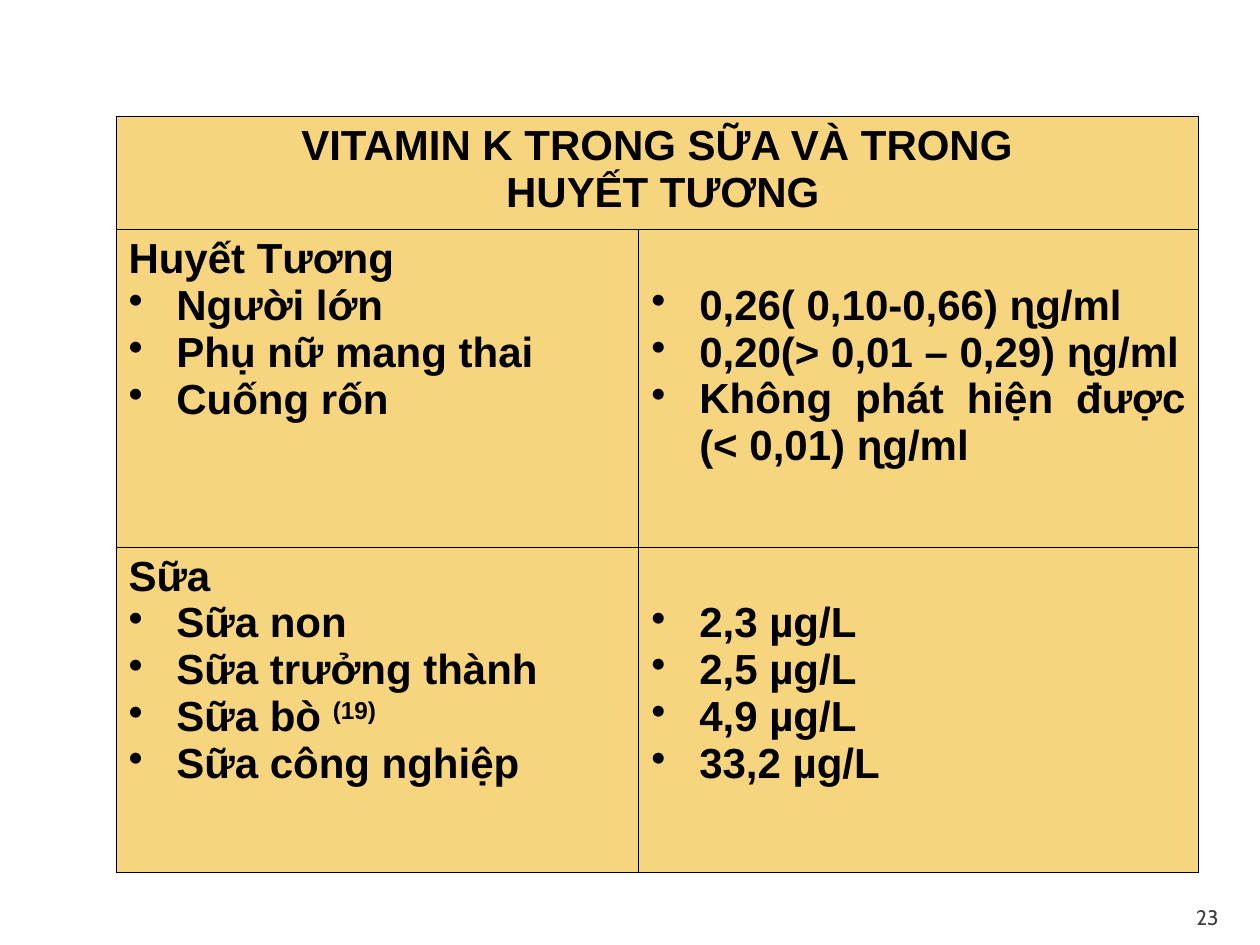
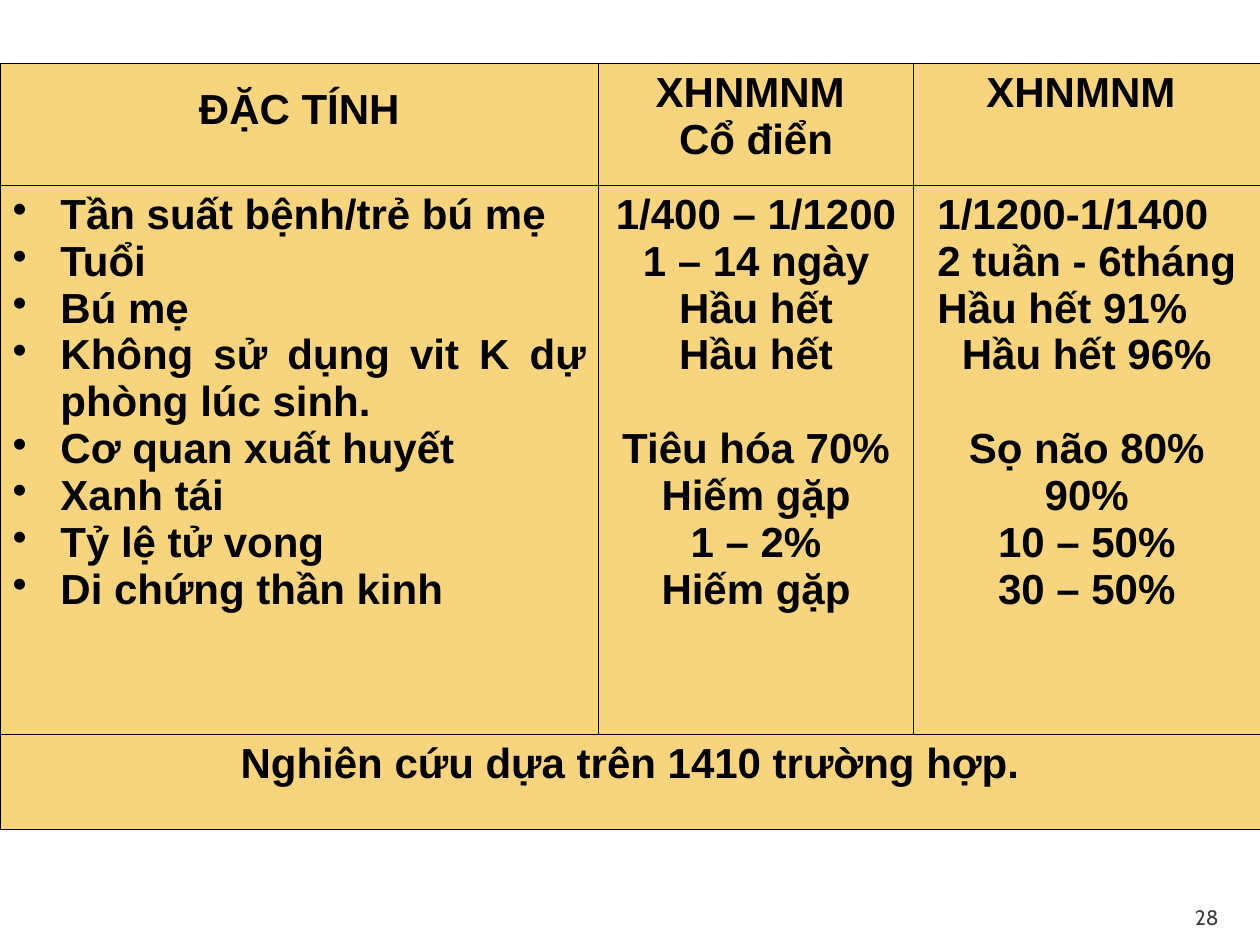
from lxml.etree import SubElement
from pptx import Presentation
from pptx.dml.color import RGBColor
from pptx.enum.text import MSO_ANCHOR as Anchor, PP_ALIGN as Align
from pptx.oxml import parse_xml
from pptx.oxml.ns import nsdecls, qn
from pptx.util import Inches, Pt

LINE = 26.8  # height in points of one line of table text
GAP = 3.7    # the same height in grid rows


def rgb(value):
    return RGBColor.from_string(value)


def para(text, **fmt):
    """Pair a text with its format: align, bullet, left, before, sup."""
    return text, fmt


def paras(*texts, **fmt):
    return [para(t, **fmt) for t in texts]


def bullets(*texts, align=Align.JUSTIFY):
    return paras(*texts, align=align, bullet=True)


def centred(*texts):
    return paras(*texts, align=Align.CENTER)


class Deck:
    """Holds the style and the current slide; lengths are in a 100 x 75 grid."""

    INK, NUMBER_INK, GOLD = "000000", "3F3F3F", "F0AD00"
    FONT, NUMBER_FONT = "Arial", "Cabin"
    HANG = 3.8

    def __init__(self):
        self.prs = Presentation()
        self.prs.slide_width, self.prs.slide_height = Inches(10), Inches(7.5)

    def grid(self, n):
        return round(self.prs.slide_width * n / 100)

    def new_slide(self, number):
        self.s = self.prs.slides.add_slide(self.prs.slide_layouts[6])
        self.page_number(number)

    def run(self, p, text, size=24, font=FONT, color=INK, bold=True, sup=False):
        r = p.add_run()
        r.text = text
        r.font.size, r.font.name, r.font.bold = Pt(size), font, bold
        r.font.color.rgb = rgb(color)
        if sup:
            r._r.get_or_add_rPr().set("baseline", "30000")

    def page_number(self, number):
        box = self.s.shapes.add_textbox(*map(self.grid, (89.7, 70.8, 8, 3)))
        tf = box.text_frame
        tf.word_wrap, tf.vertical_anchor, tf.margin_bottom = True, Anchor.BOTTOM, 0
        p = tf.paragraphs[0]
        p.alignment = Align.RIGHT
        self.run(p, str(number), 12, self.NUMBER_FONT, self.NUMBER_INK, False)

    def paragraph(self, p, text, align=Align.LEFT, bullet=False, left=0, before=0, sup=""):
        p.alignment = align
        pPr = p._p.get_or_add_pPr()
        if before:
            p.space_before = Pt(before)
        if bullet:
            left = self.HANG
            pPr.set("indent", str(-self.grid(left)))
            color = SubElement(pPr, qn("a:buClr"))
            SubElement(color, qn("a:srgbClr"), val=self.INK)
            SubElement(pPr, qn("a:buChar"), char="•")
        pPr.set("marL", str(self.grid(left)))
        self.run(p, text)
        if sup:
            self.run(p, sup, sup=True)

    def paint(self, cell):
        """Give a cell its half-transparent fill and thin borders."""
        cell.fill.solid()
        cell.fill.fore_color.rgb = rgb(self.GOLD)
        tcPr = cell._tc.get_or_add_tcPr()
        SubElement(tcPr.find(".//" + qn("a:srgbClr")), qn("a:alpha"), val="50000")
        for i, side in enumerate("LRTB"):
            tcPr.insert(i, parse_xml(
                f'<a:ln{side} {nsdecls("a")} w="{Pt(0.45)}"><a:solidFill>'
                f'<a:srgbClr val="{self.INK}"/></a:solidFill></a:ln{side}>'))

    def table(self, left, top, cols, rows, cells, drops=None, wide=0):
        """Add a table; drops maps cells to extra top space, wide is the merged row."""
        frame = self.s.shapes.add_table(
            len(rows), len(cols), *map(self.grid, (left, top, sum(cols), sum(rows))))
        tbl = frame.table
        tbl.first_row = tbl.horz_banding = False
        for col, width in zip(tbl.columns, cols):
            col.width = self.grid(width)
        for row, height in zip(tbl.rows, rows):
            row.height = self.grid(height)
        for cell in tbl.iter_cells():
            self.paint(cell)
        tbl.cell(wide, 0).merge(tbl.cell(wide, len(cols) - 1))
        for i, row in enumerate(cells):
            for j, content in enumerate(row):
                cell = tbl.cell(i, j)
                cell.margin_top = self.grid(0.5 + (drops or {}).get((i, j), 0))
                tf = cell.text_frame
                for k, (text, fmt) in enumerate(content):
                    p = tf.add_paragraph() if k else tf.paragraphs[0]
                    self.paragraph(p, text, **fmt)


def vitamin_k_levels(deck):
    deck.new_slide(23)
    heading = [para("VITAMIN K TRONG SỮA VÀ TRONG", align=Align.CENTER),
               para("HUYẾT TƯƠNG", align=Align.CENTER, left=0.9)]
    plasma = [para("Huyết Tương"),
              *bullets("Người lớn", "Phụ nữ mang thai", "Cuống rốn")]
    plasma_levels = bullets("0,26( 0,10-0,66) ɳg/ml", "0,20(> 0,01 – 0,29) ɳg/ml",
                            "Không phát hiện được (< 0,01) ɳg/ml")
    milk = [para("Sữa"),
            *bullets("Sữa non", "Sữa trưởng thành", align=Align.LEFT),
            para("Sữa bò ", bullet=True, sup="(19)"),
            *bullets("Sữa công nghiệp", align=Align.LEFT)]
    milk_levels = bullets("2,3 µg/L", "2,5 µg/L", "4,9 µg/L", "33,2 µg/L")
    deck.table(9.2, 9.2, [41.5, 44.4], [9, 25.2, 25.8],
               [[heading], [plasma, plasma_levels], [milk, milk_levels]],
               drops={(1, 1): GAP, (2, 1): GAP})


def bleeding_forms(deck):
    deck.new_slide(28)
    header = [centred("ĐẶC TÍNH"), centred("XHNMNM ", "Cổ điển"), centred("XHNMNM ")]
    features = bullets(
        "Tần suất bệnh/trẻ bú mẹ", "Tuổi", "Bú mẹ",
        "Không sử dụng vit K dự phòng lúc sinh.", "Cơ quan xuất huyết",
        "Xanh tái", "Tỷ lệ tử vong", "Di chứng thần kinh")
    classic = [*centred("1/400 – 1/1200", "1 – 14 ngày", "Hầu hết", "Hầu hết"),
               para("Tiêu hóa 70%", align=Align.CENTER, before=LINE),
               *centred("Hiếm gặp", "1 – 2%", "Hiếm gặp")]
    late = [*paras("1/1200-1/1400", "2 tuần - 6tháng", "Hầu hết 91%", left=0.9),
            *centred("Hầu hết 96%"),
            para("Sọ não 80%", align=Align.CENTER, before=LINE),
            *centred("90%", "10 – 50%", "30 – 50%")]
    deck.table(0, 5, [47.5, 25, 27.5], [9.7, 43.6, 7.5],
               [header, [features, classic, late],
                [centred("Nghiên cứu dựa trên 1410 trường hợp.")]],
               drops={(0, 0): 1.4}, wide=2)


def main():
    deck = Deck()
    vitamin_k_levels(deck)
    bleeding_forms(deck)
    deck.prs.save("out.pptx")


if __name__ == "__main__":
    main()
